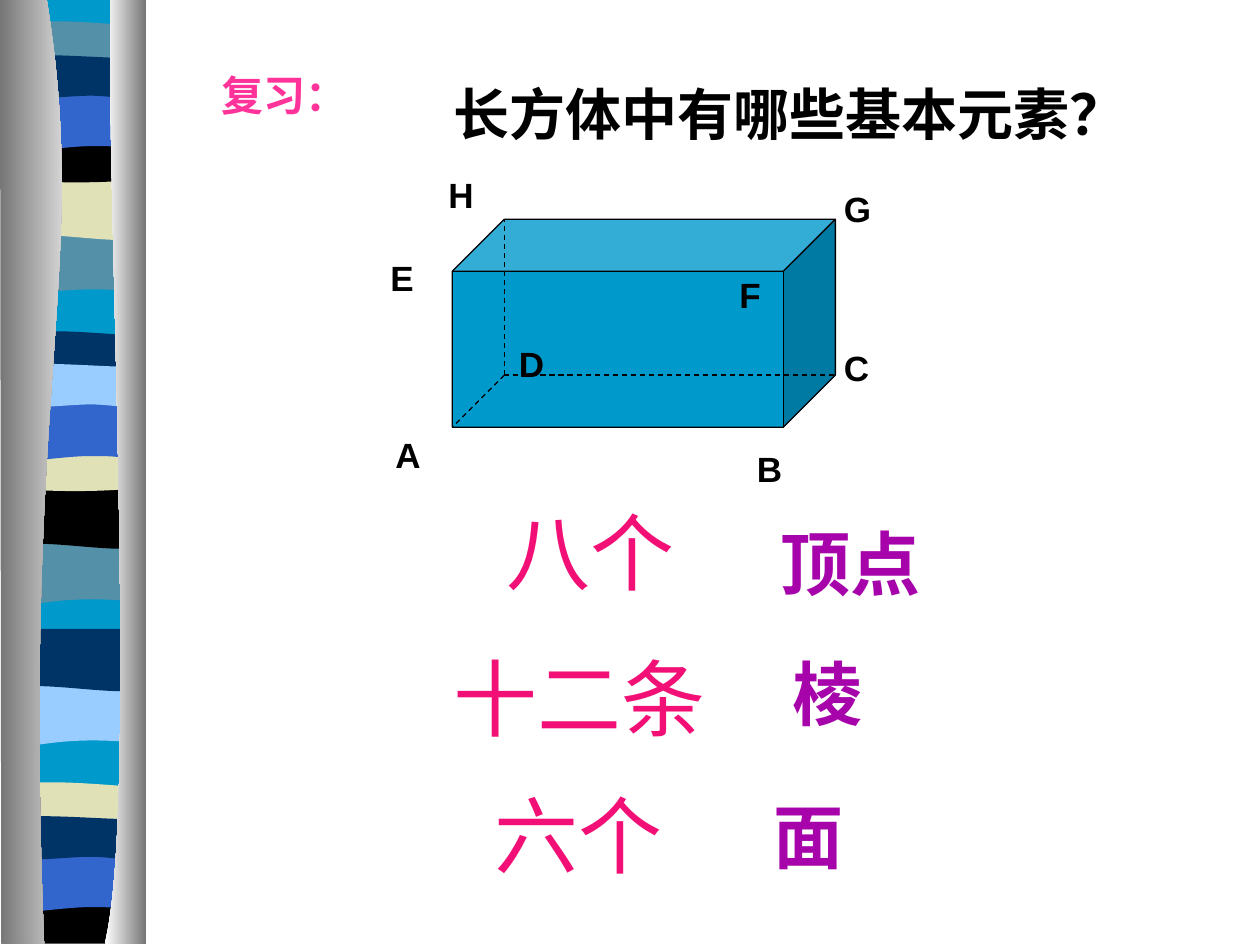
from typing import NamedTuple

from lxml import etree
from pptx import Presentation
from pptx.dml.color import RGBColor
from pptx.enum.dml import MSO_LINE
from pptx.enum.lang import MSO_LANGUAGE_ID
from pptx.enum.shapes import MSO_CONNECTOR, MSO_SHAPE
from pptx.enum.text import MSO_ANCHOR, PP_ALIGN
from pptx.oxml.ns import qn
from pptx.util import Inches, Pt

DASH = MSO_LINE.DASH
STRAIGHT = MSO_CONNECTOR.STRAIGHT
CUBE = MSO_SHAPE.CUBE
TOP = MSO_ANCHOR.TOP
LEFT, CENTER = PP_ALIGN.LEFT, PP_ALIGN.CENTER
CHINESE = MSO_LANGUAGE_ID.SIMPLIFIED_CHINESE

SANS, SERIF, LATIN = "Noto Sans CJK SC", "Times New Roman", "Arial"
BLACK, WHITE, GREY = "000000", "FFFFFF", "767676"
CYAN, TEAL, SAND = "0099CC", "5490A8", "E1E1B7"
BLUE, NAVY, SKY = "3366CC", "003366", "99CCFF"
PINK, MAGENTA, PURPLE = "FF3399", "F21076", "A603AB"

# Outlines: a pair is a corner, six numbers are a Bezier curve.
W = 1.09
SAG = [(W, 0), (W, .47), (.34, .39, .18, .55, 0, .47), (0, 0)]
HUMP = [(W, 0), (W, .47), (.91, .55, .34, .41, 0, .47), (0, 0)]
LENS = [(W, 0), (W, .24), (.91, .29, .18, .29, 0, .24), (0, 0),
        (.07, -.05, .24, -.04, .42, -.04), (.6, -.04, .95, -.01, W, 0)]
DIP = [(W, 0), (W, .33), (.91, .38, .18, .38, 0, .33), (0, 0),
       (.66, .05, .86, 0, W, 0)]
LAST_DIP = [(W, 0), (W, .37), (.02, .37), (0, 0), (.67, .05, .86, 0, W, 0)]
ARCH = [(W, 0), (W, .47), (.92, .42, .85, .42, .67, .42),
        (.49, .42, .17, .47, 0, .47), (0, 0)]
BAND = [(W, 0), (W, .3), (1.02, .35, .85, .3, .67, .3),
        (.49, .3, .12, .35, 0, .3), (0, 0),
        (.16, -.05, .74, 0, .92, 0), (1.1, 0, 1.06, 0, W, 0)]
BACKING = [(W, 0), (W, 7.48), (0, 7.48), (0, 0)]
LEFT_EDGE = [(.37, 0), (.72, 2.17, .17, 2.97, .35, 7.5), (.01, 7.5), (0, 0)]
RIGHT_EDGE = [(.88, 0), (.83, 1.26, 1.11, 6.47, .83, 7.5),
              (1.16, 7.5), (1.16, .01)]


class Stripe(NamedTuple):
    outline: list
    x: float
    y: float
    color: str


class Label(NamedTuple):
    text: str
    x: float
    y: float
    w: float
    h: float


STRIPES = [
    Stripe(BACKING, .05, -.01, CYAN),
    Stripe(SAG, .05, 1.85, TEAL), Stripe(HUMP, .06, 1.41, SAND),
    Stripe(LENS, .05, .21, TEAL), Stripe(DIP, .06, 1.08, BLACK),
    Stripe(ARCH, .06, .74, BLUE), Stripe(BAND, .05, .46, NAVY),
    Stripe(SAG, .04, 4.31, TEAL), Stripe(HUMP, .05, 3.86, BLACK),
    Stripe(LENS, .04, 2.67, NAVY), Stripe(DIP, .05, 3.53, SAND),
    Stripe(ARCH, .04, 3.2, BLUE), Stripe(BAND, .05, 2.91, SKY),
    Stripe(SAG, .05, 5.43, SKY), Stripe(HUMP, .05, 4.99, NAVY),
    Stripe(LENS, .04, 6.25, SAND), Stripe(LAST_DIP, .04, 7.12, BLACK),
    Stripe(ARCH, .04, 6.78, BLUE), Stripe(BAND, .05, 6.5, NAVY),
]
VERTICES = [Label(name, x, y, .73, .44) for name, x, y in [
    ("A", 3.04, 3.39), ("C", 6.6, 2.7), ("B", 5.91, 3.5), ("D", 4.02, 2.67),
    ("F", 5.77, 2.12), ("E", 3, 1.99), ("H", 3.46, 1.33), ("G", 6.6, 1.44)]]
ELEMENTS = [Label("顶点", 6, 4.08, 1.5, .8), Label("棱", 5.94, 5.11, 1.25, .89),
            Label("面", 6, 6.25, .83, .75)]
COUNTS = [Label("八个", 3.92, 3.92, 2.5, .9),
          Label("十二条", 3.5, 5.08, 2.92, .9),
          Label("六个", 3.83, 6.17, 1.75, .9)]


def rgb(color: str) -> RGBColor:
    return RGBColor.from_string(color)


def add_outline(s, outline: list, x: float, y: float, *colors: str) -> None:
    """Draw an outline; two colours make a left-to-right gradient."""
    points = [(Inches(x + seg[i]), Inches(y + seg[i + 1]))
              for seg in outline for i in range(0, len(seg), 2)]
    builder = s.shapes.build_freeform(*points[0])
    builder.add_line_segments(points[1:])
    sp = builder.convert_to_shape()
    lines = iter(list(sp._element.iter(qn("a:lnTo"))))
    for seg in outline[1:]:
        first = next(lines)
        if len(seg) == 6:
            first.tag = qn("a:cubicBezTo")
            for line in (next(lines), next(lines)):
                first.append(line[0])
                line.getparent().remove(line)
    sp.shadow.inherit = False
    sp.line.fill.background()
    if len(colors) == 1:
        sp.fill.solid()
        sp.fill.fore_color.rgb = rgb(colors[0])
        return
    sp.fill.gradient()
    sp.fill.gradient_angle = 0
    for stop, color in zip(sp.fill.gradient_stops, colors):
        stop.color.rgb = rgb(color)


def write(sp, text: str, *, size: float, font: str, color: str,
          bold: bool = False, align=LEFT, wrap: bool = True) -> None:
    tf = sp.text_frame
    tf.word_wrap = wrap
    tf.vertical_anchor = TOP
    p = tf.paragraphs[0]
    p.alignment = align
    r = p.add_run()
    r.text = text
    r.font.size = Pt(size)
    r.font.bold = bold
    r.font.name = font
    r.font.color.rgb = rgb(color)
    r.font.language_id = CHINESE
    etree.SubElement(r.font._element, qn("a:ea")).set("typeface", SANS)


def add_label(s, label: Label, **style) -> None:
    box = [Inches(v) for v in label[1:]]
    write(s.shapes.add_textbox(*box), label.text, **style)


def add_cuboid(s, x: float, y: float, w: float, h: float) -> None:
    """Draw a cube shape and its three hidden edges."""
    sp = s.shapes.add_shape(CUBE, *[Inches(v) for v in (x, y, w, h)])
    sp.adjustments[0] = 0.25
    sp.shadow.inherit = False
    sp.fill.solid()
    sp.fill.fore_color.rgb = rgb(CYAN)
    sp.line.color.rgb = rgb(BLACK)
    sp.line.width = Pt(0.75)
    depth = h / 4
    corner = (x + depth, y + h - depth)
    for end in [(x + depth, y), (x + w, y + h - depth), (x, y + h)]:
        edge = s.shapes.add_connector(
            STRAIGHT, *[Inches(v) for v in corner + end])
        edge.line.color.rgb = rgb(BLACK)
        edge.line.width = Pt(0.75)
        edge.line.dash_style = DASH
        etree.SubElement(edge._element.spPr, qn("a:effectLst"))


def main() -> None:
    prs = Presentation()
    prs.slide_width, prs.slide_height = Inches(10), Inches(7.5)
    s = prs.slides.add_slide(prs.slide_layouts[5])

    for stripe in STRIPES:
        add_outline(s, *stripe)
    add_outline(s, LEFT_EDGE, 0, -.01, GREY, WHITE)
    add_outline(s, RIGHT_EDGE, 0, -.01, WHITE, GREY)

    title = s.shapes.title
    title.left, title.top = Inches(3.5), Inches(0.58)
    title.width, title.height = Inches(6), Inches(0.64)
    write(title, "长方体中有哪些基本元素？", size=32, font=SERIF, color=BLACK,
          bold=True)
    add_label(s, Label("复习：", 1.42, .5, 1.67, .92), size=24, font=SANS,
              color=PINK, bold=True, align=CENTER, wrap=False)

    add_cuboid(s, 3.59, 1.74, 3.04, 1.65)
    for label in VERTICES:
        add_label(s, label, size=20, font=LATIN, color=BLACK, bold=True)
    for label in ELEMENTS:
        add_label(s, label, size=40, font=SANS, color=PURPLE, bold=True,
                  align=CENTER, wrap=False)
    for label in COUNTS:
        add_label(s, label, size=48, font=SERIF, color=MAGENTA)
    prs.save("out.pptx")


if __name__ == "__main__":
    main()
